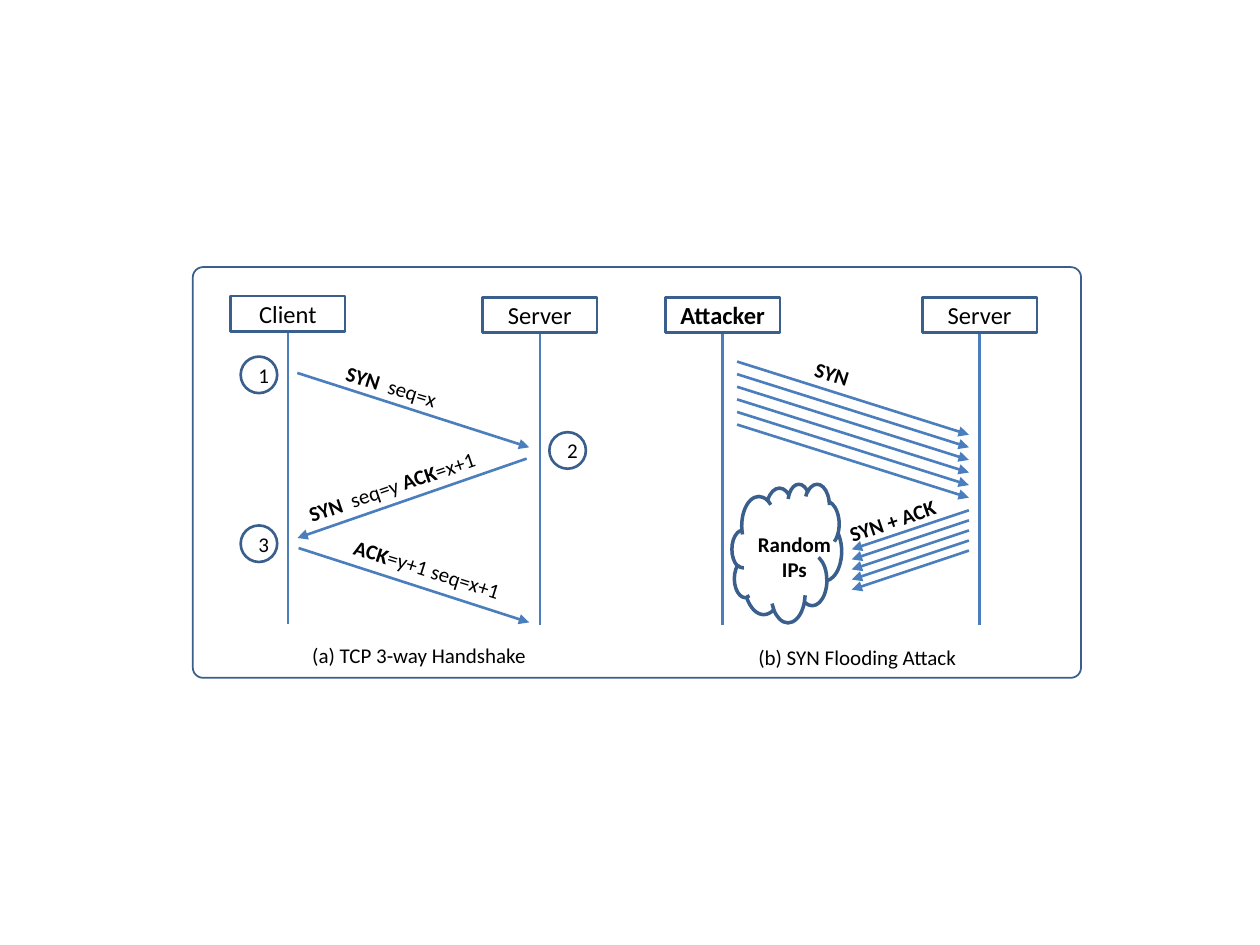
from pptx import Presentation
from pptx.dml.color import RGBColor
from pptx.enum.shapes import MSO_CONNECTOR, MSO_SHAPE
from pptx.enum.text import MSO_ANCHOR, MSO_AUTO_SIZE, PP_ALIGN
from pptx.oxml.ns import qn
from pptx.util import Inches, Pt
from lxml import etree

COLORS = {"arrow": "4B7EBC", "outline": "3A5F8C", "text": "000000"}
HEADER_WIDTH, HEADER_HEIGHT = 0.91, 0.28
CIRCLE_SIZE = 0.29
LIFELINE_BOTTOM = 2.6


def color(name):
    return RGBColor.from_string(COLORS[name])


def write(para, spans, size=12):
    """Add (text, bold) spans to a paragraph."""
    for text, bold in spans:
        span = para.add_run()
        span.text = text
        formats = {"name": "Calibri", "size": Pt(size), "bold": bold}
        for key, value in formats.items():
            setattr(span.font, key, value)
        span.font.color.rgb = color("text")


def add_outline(page, kind, left, top, width, height, line_width=1.5):
    shape = page.shapes.add_shape(
        kind, Inches(left), Inches(top), Inches(width), Inches(height))
    shape.shadow.inherit = False
    shape.fill.background()
    shape.line.color.rgb = color("outline")
    shape.line.width = Pt(line_width)
    return shape


def add_node(page, kind, left, top, width, height, text, size=12, bold=False):
    """Outlined shape with centred text."""
    shape = add_outline(page, kind, left, top, width, height)
    shape.text_frame.vertical_anchor = MSO_ANCHOR.MIDDLE
    para = shape.text_frame.paragraphs[0]
    para.alignment = PP_ALIGN.CENTER
    write(para, [(text, bold)], size)


def add_label(page, left, top, width, lines, rotation=0, height=0.3, align=None):
    box = page.shapes.add_textbox(
        Inches(left), Inches(top), Inches(width), Inches(height))
    box.rotation = rotation
    frame = box.text_frame
    frame.word_wrap = False
    frame.auto_size = MSO_AUTO_SIZE.SHAPE_TO_FIT_TEXT
    for index, spans in enumerate(lines):
        para = frame.add_paragraph() if index else frame.paragraphs[0]
        para.alignment = align
        write(para, spans)


def add_line(page, x1, y1, x2, y2, arrow=False):
    line = page.shapes.add_connector(
        MSO_CONNECTOR.STRAIGHT, Inches(x1), Inches(y1), Inches(x2), Inches(y2))
    line.line.color.rgb = color("arrow")
    line.line.width = Pt(1.5)
    if arrow:
        etree.SubElement(line.line._get_or_add_ln(), qn("a:tailEnd"), type="triangle")
    etree.SubElement(line._element.spPr, qn("a:effectLst"))


def add_party(page, left, top, name, bold=False):
    """Named header with its lifeline."""
    middle = left + HEADER_WIDTH / 2
    add_line(page, middle, top + HEADER_HEIGHT, middle, top + LIFELINE_BOTTOM)
    add_node(page, MSO_SHAPE.RECTANGLE, left, top, HEADER_WIDTH, HEADER_HEIGHT,
             name, 14, bold)


def add_handshake(page, left, top):
    add_party(page, left, top, "Client")
    add_party(page, left + 2, top + 0.01, "Server")

    # Messages
    for x1, y1, x2, y2 in [(0.53, 0.61, 2.37, 1.2),
                           (2.35, 1.29, 0.53, 1.92),
                           (0.54, 2, 2.37, 2.59)]:
        add_line(page, left + x1, top + y1, left + x2, top + y2, arrow=True)
    messages = [
        (0.81, 0.57, 0.96, 17.1, [("SYN  ", True), ("seq=x", False)]),
        (0.49, 1.36, 1.59, 341.1, [("SYN  ", True), ("seq=y ", False),
                                   ("ACK", True), ("=x+1", False)]),
        (0.86, 2.02, 1.42, 17.5, [("ACK", True), ("=y+1 seq=x+1", False)]),
    ]
    for x, y, width, rotation, spans in messages:
        add_label(page, left + x, top + y, width, [spans], rotation)

    # Step numbers
    for step, (x, y) in enumerate([(0.08, 0.48), (2.53, 1.08), (0.08, 1.82)], 1):
        add_node(page, MSO_SHAPE.OVAL, left + x, top + y,
                 CIRCLE_SIZE, CIRCLE_SIZE, str(step))
    add_label(page, left + 0.55, top + 2.7, 1.9,
              [[("(a) TCP 3-way Handshake", False)]])


def add_flooding(page, left, top):
    add_party(page, left, top, "Attacker", bold=True)
    add_party(page, left + 2.04, top, "Server")

    # Bursts of requests and replies: count, start, gap, run, rise
    for count, x, y, gap, run, rise in [(6, 0.57, 0.51, 0.1, 1.84, 0.58),
                                        (5, 2.41, 1.69, 0.08, -0.93, 0.31)]:
        for index in range(count):
            start = top + y + index * gap
            add_line(page, left + x, start, left + x + run, start + rise, arrow=True)
    add_label(page, left + 1.09, top + 0.46, 0.48, [[("SYN", True)]], 17.1)
    add_label(page, left + 1.35, top + 1.62, 0.92, [[("SYN + ACK", True)]], 341.2)

    # Spoofed addresses
    add_outline(page, MSO_SHAPE.CLOUD, left + 0.53, top + 1.48, 0.87, 1.1, 2)
    add_label(page, left + 0.63, top + 1.81, 0.79,
              [[("Random", True)], [("IPs", True)]],
              height=0.5, align=PP_ALIGN.CENTER)
    add_label(page, left + 0.64, top + 2.71, 1.79,
              [[("(b) SYN Flooding Attack", False)]])


deck = Presentation()
deck.slide_width, deck.slide_height = Inches(10), Inches(7.5)
page = deck.slides.add_slide(deck.slide_layouts[6])

# Frame around both diagrams
border = add_outline(page, MSO_SHAPE.ROUNDED_RECTANGLE, 1.53, 2.12, 7.05, 3.26, 1)
border.adjustments[0] = 0.025
add_handshake(page, 1.83, 2.35)
add_flooding(page, 5.28, 2.36)
deck.save("out.pptx")
